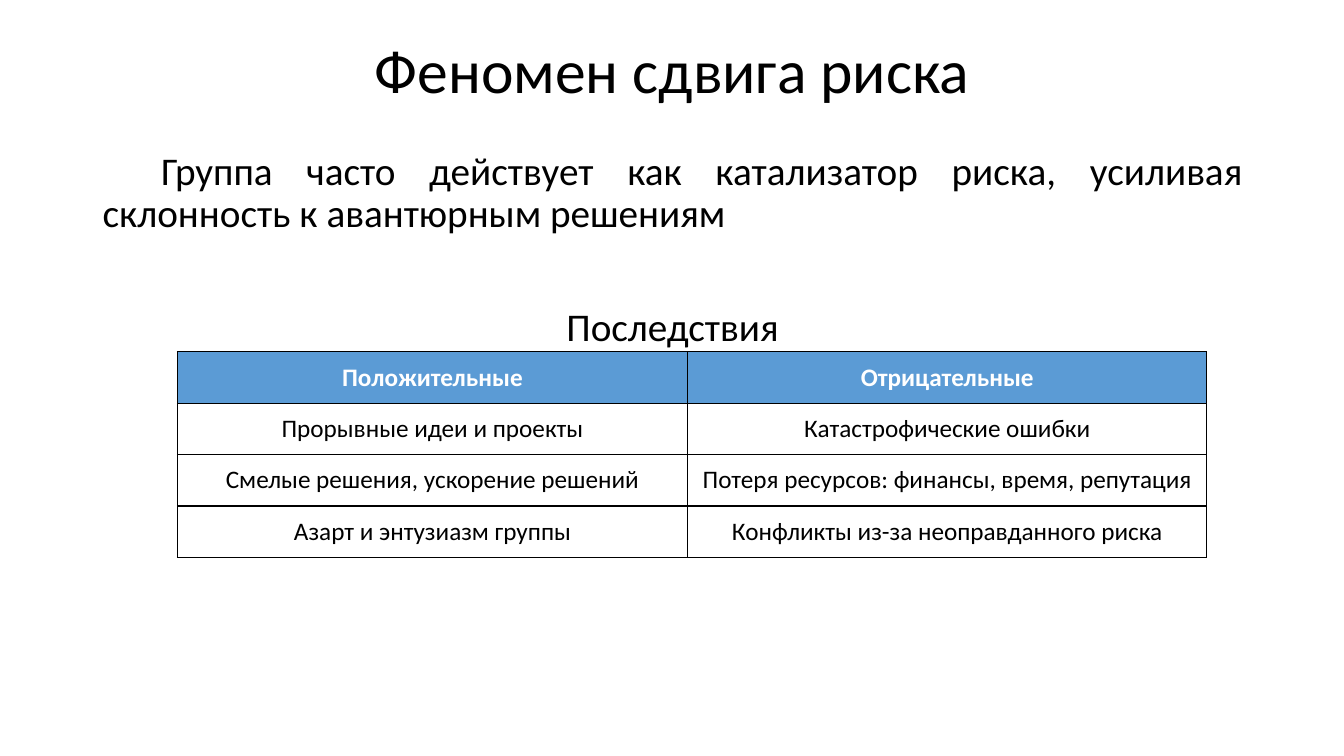
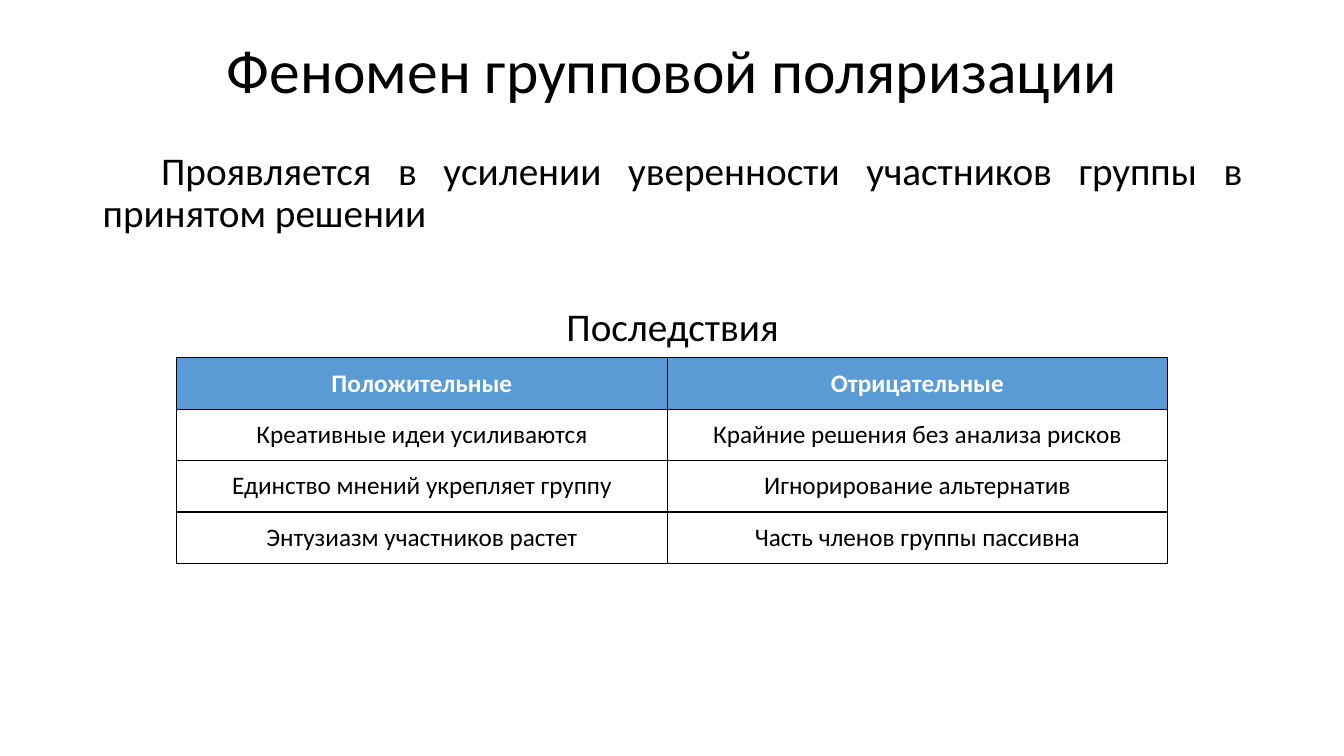
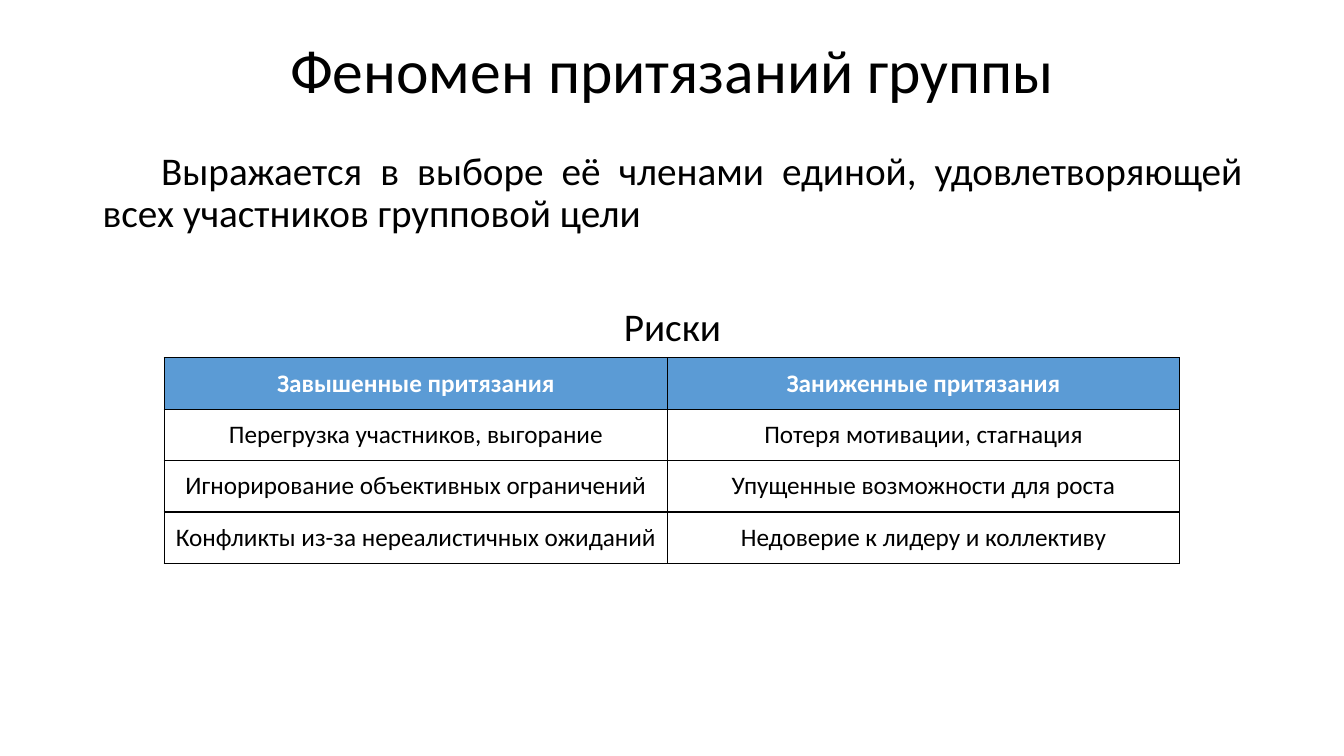
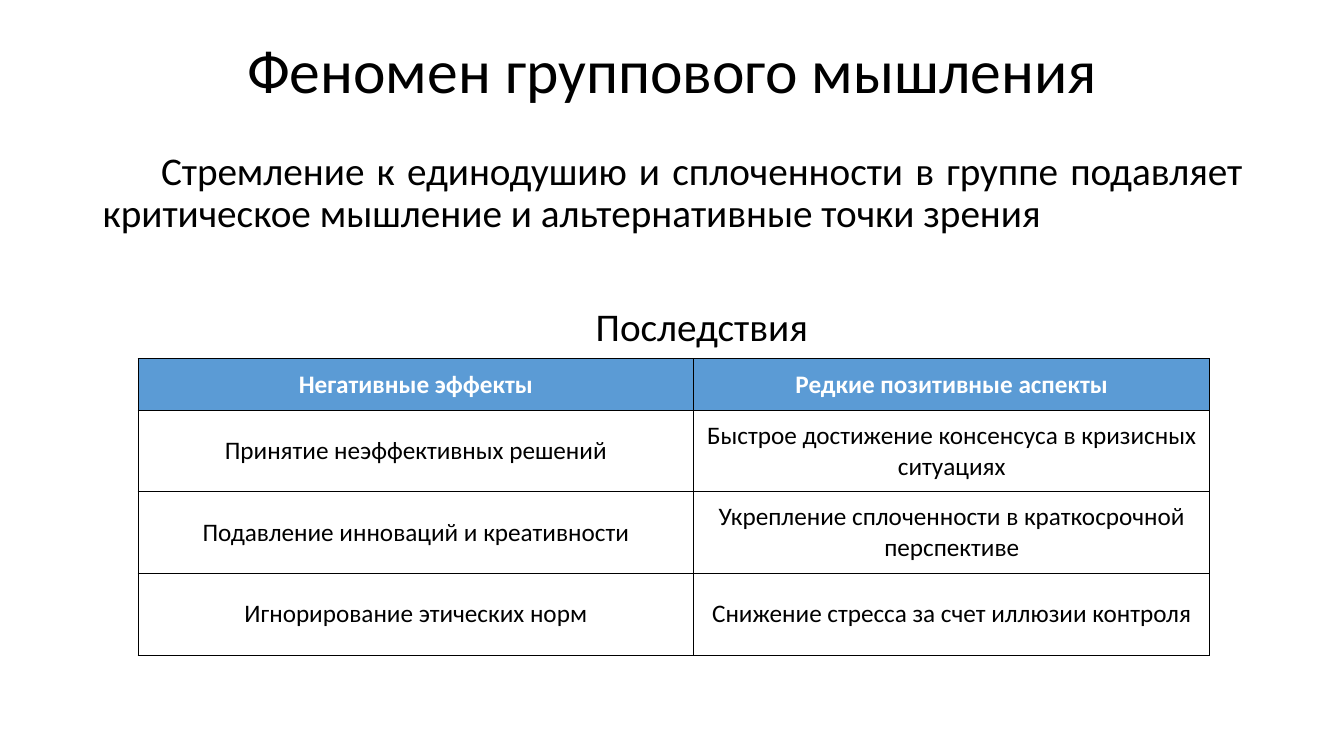
from lxml.etree import SubElement
from pptx import Presentation
from pptx.dml.color import RGBColor
from pptx.enum.text import MSO_ANCHOR, PP_ALIGN
from pptx.oxml.ns import qn
from pptx.util import Pt

SCALE = 9144
FONT = "Calibri"
COLORS = {"text": "000000", "border": "000000", "header": "5B9BD5", "white": "FFFFFF"}
TITLE_BOX = (92, 0, 1150, 145)
BODY_BOX = (92, 145, 1150, 605)
INDENT = 58
CELL_MARGIN = 10
ROW_HEIGHTS = (51, 51, 51, 51)

SLIDES = [
    {
        "title": "Феномен сдвига риска",
        "summary": "Группа часто действует как катализатор риска, усиливая склонность к авантюрным решениям",
        "caption": "Последствия",
        "position": (176, 349),
        "columns": (506, 515),
        "rows": [
            ("Положительные", "Отрицательные"),
            ("Прорывные идеи и проекты", "Катастрофические ошибки"),
            ("Смелые решения, ускорение решений", "Потеря ресурсов: финансы, время, репутация"),
            ("Азарт и энтузиазм группы", "Конфликты из-за неоправданного риска"),
        ],
    },
    {
        "title": "Феномен групповой поляризации",
        "summary": "Проявляется в усилении уверенности участников группы в принятом решении",
        "caption": "Последствия",
        "position": (175, 355),
        "columns": (487, 496),
        "rows": [
            ("Положительные", "Отрицательные"),
            ("Креативные идеи усиливаются", "Крайние решения без анализа рисков"),
            ("Единство мнений укрепляет группу", "Игнорирование альтернатив"),
            ("Энтузиазм участников растет", "Часть членов группы пассивна"),
        ],
    },
    {
        "title": "Феномен притязаний группы",
        "summary": "Выражается в выборе её членами единой, удовлетворяющей всех участников групповой цели",
        "caption": "Риски",
        "position": (163, 355),
        "columns": (499, 508),
        "rows": [
            ("Завышенные притязания", "Заниженные притязания"),
            ("Перегрузка участников, выгорание", "Потеря мотивации, стагнация"),
            ("Игнорирование объективных ограничений", "Упущенные возможности для роста"),
            ("Конфликты из-за нереалистичных ожиданий", "Недоверие к лидеру и коллективу"),
        ],
    },
    {
        "title": "Феномен группового мышления",
        "summary": "Стремление к единодушию и сплоченности в группе подавляет критическое мышление "
                   "и альтернативные точки зрения",
        "caption": "Последствия",
        "caption_indent": INDENT,
        "position": (137, 356),
        "columns": (551, 512),
        "heights": (51, 81, 81, 81),
        "rows": [
            ("Негативные эффекты", "Редкие позитивные аспекты"),
            ("Принятие неэффективных решений", "Быстрое достижение консенсуса в кризисных ситуациях"),
            ("Подавление инноваций и креативности", "Укрепление сплоченности в краткосрочной перспективе"),
            ("Игнорирование этических норм", "Снижение стресса за счет иллюзии контроля"),
        ],
    },
]


def px(length):
    """Turn px into EMU."""
    return length * SCALE


def write_text(paragraph, text, size, color="text", bold=False, align=PP_ALIGN.CENTER,
               spacing=1.0, before=0, indent=0):
    """Write formatted text into a paragraph."""
    paragraph.alignment = align
    paragraph.line_spacing = spacing
    paragraph.space_before = Pt(before)
    if indent:
        properties = paragraph._p.get_or_add_pPr()
        properties.set("marL", "0")
        properties.set("indent", str(px(indent)))
    run = paragraph.add_run()
    run.text = text
    run.font.name = FONT
    run.font.size = Pt(size)
    run.font.bold = bold
    run.font.color.rgb = RGBColor.from_string(COLORS[color])


def set_title(slide, text):
    """Place and format the slide title."""
    title = slide.shapes.title
    title.left, title.top, title.width, title.height = map(px, TITLE_BOX)
    title.text_frame.vertical_anchor = MSO_ANCHOR.MIDDLE
    write_text(title.text_frame.paragraphs[0], text, size=44, spacing=0.9)


def add_body(slide, summary, caption, caption_indent):
    """Add the summary and the caption above the table."""
    frame = slide.shapes.add_textbox(*map(px, BODY_BOX)).text_frame
    frame.word_wrap = True
    write_text(frame.paragraphs[0], summary, size=28, align=PP_ALIGN.JUSTIFY,
               spacing=0.9, before=10, indent=INDENT)
    write_text(frame.add_paragraph(), caption, size=28, spacing=0.9, before=51,
               indent=caption_indent)


def add_borders(cell):
    """Draw a thin line on each side of a cell."""
    properties = cell._tc.get_or_add_tcPr()
    for side in ("a:lnL", "a:lnR", "a:lnT", "a:lnB"):
        line = SubElement(properties, qn(side), w=str(Pt(1)))
        fill = SubElement(line, qn("a:solidFill"))
        SubElement(fill, qn("a:srgbClr"), val=COLORS["border"])


def format_cell(cell, text, is_header):
    """Fill a table cell with its text, borders and colour."""
    cell.margin_left = cell.margin_right = px(CELL_MARGIN)
    cell.margin_top = cell.margin_bottom = px(CELL_MARGIN)
    cell.vertical_anchor = MSO_ANCHOR.MIDDLE
    add_borders(cell)
    cell.fill.solid()
    cell.fill.fore_color.rgb = RGBColor.from_string(COLORS["header" if is_header else "white"])
    write_text(cell.text_frame.paragraphs[0], text, size=18,
               color="white" if is_header else "text", bold=is_header)


def add_comparison(slide, rows, position, columns, heights):
    """Add a table with a coloured header row."""
    table = slide.shapes.add_table(len(rows), len(columns), *map(px, position),
                                   px(sum(columns)), px(sum(heights))).table
    table.horz_banding = False
    for column, width in zip(table.columns, columns):
        column.width = px(width)
    for row_index, (row, height) in enumerate(zip(table.rows, heights)):
        row.height = px(height)
        for cell, text in zip(row.cells, rows[row_index]):
            format_cell(cell, text, is_header=row_index == 0)


def main():
    """Build and save the presentation."""
    presentation = Presentation()
    presentation.slide_width = px(1333)
    presentation.slide_height = px(750)
    for content in SLIDES:
        slide = presentation.slides.add_slide(presentation.slide_layouts.get_by_name("Title Only"))
        set_title(slide, content["title"])
        add_body(slide, content["summary"], content["caption"], content.get("caption_indent", 0))
        add_comparison(slide, content["rows"], content["position"], content["columns"],
                       content.get("heights", ROW_HEIGHTS))
    presentation.save("out.pptx")


if __name__ == "__main__":
    main()
